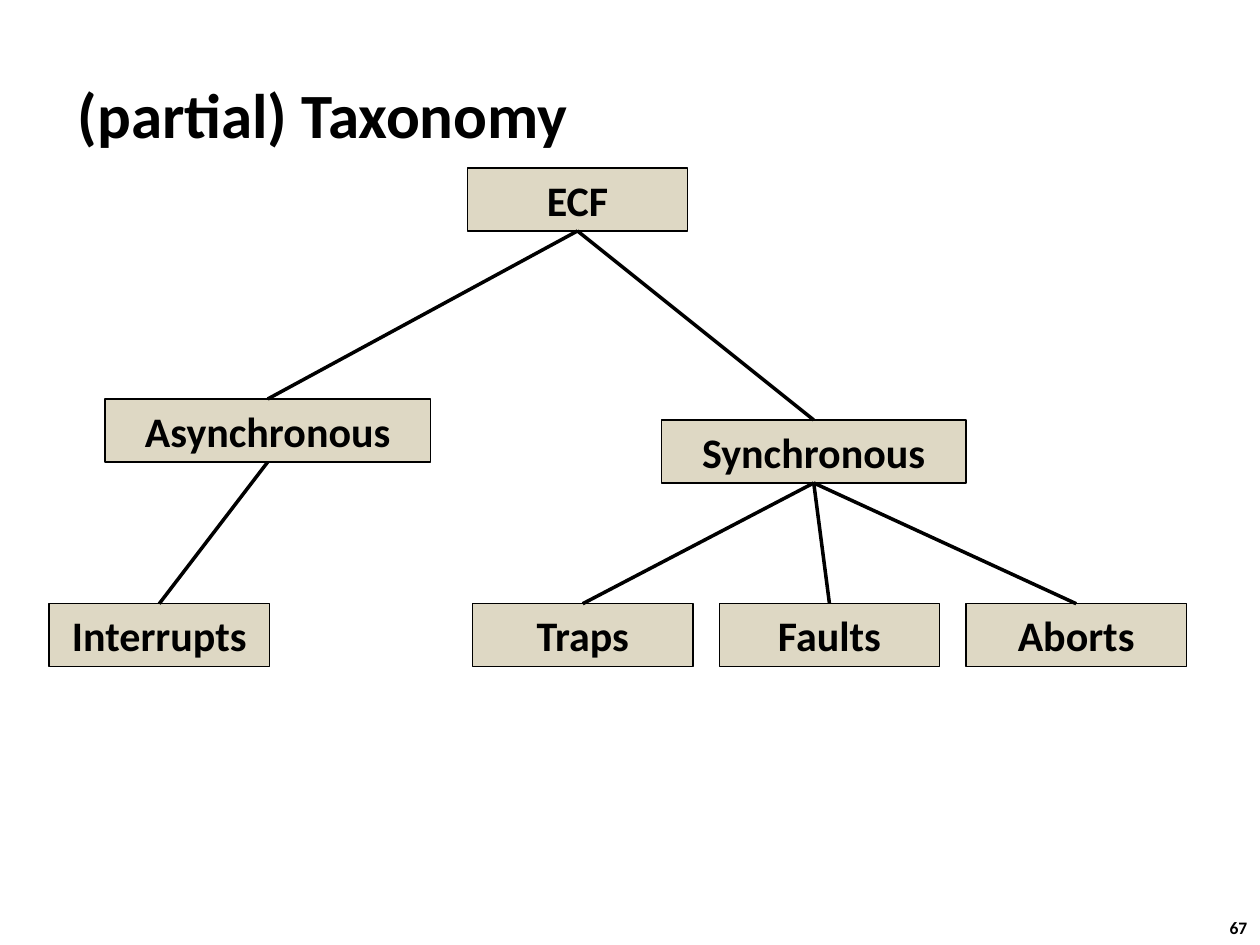
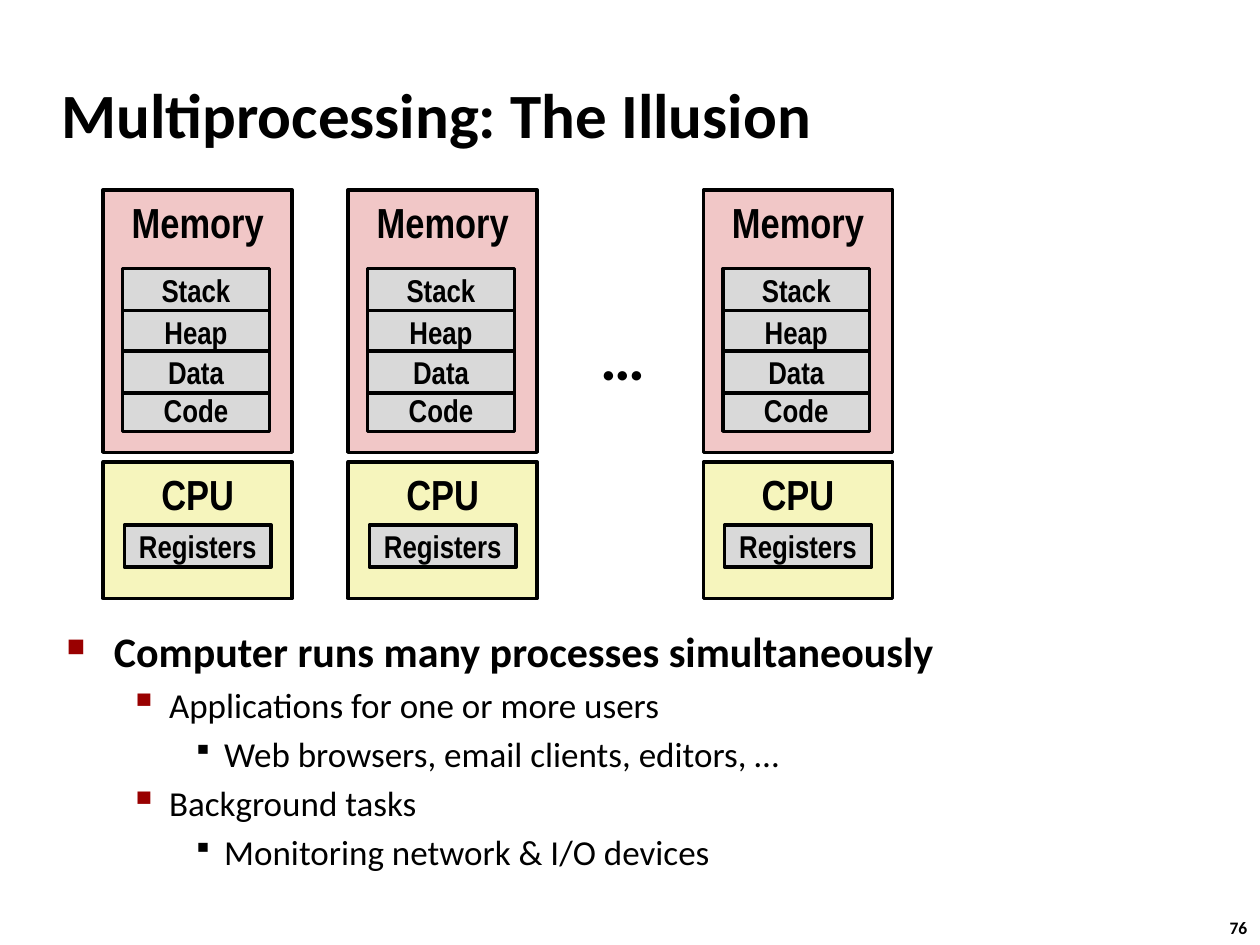
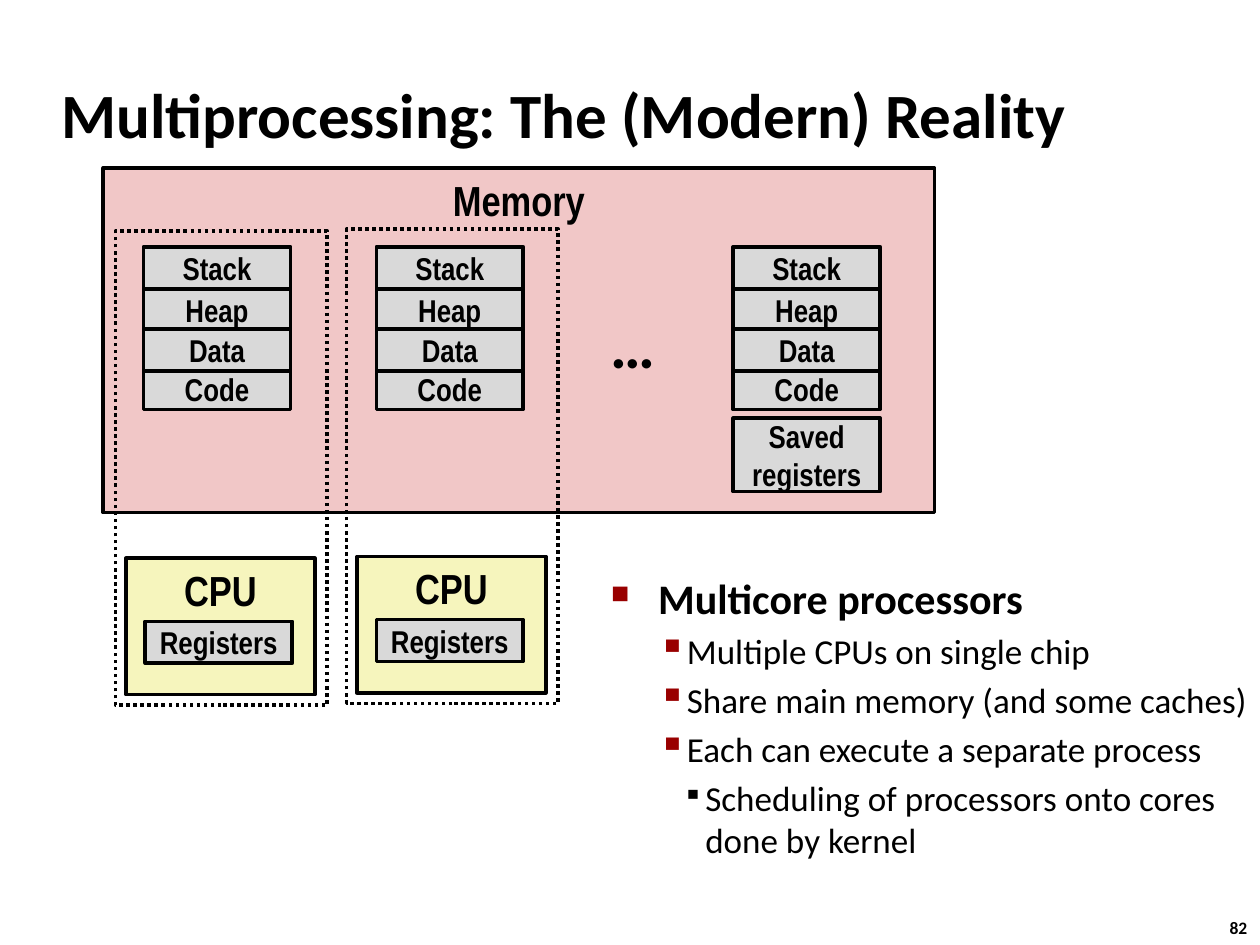
from dataclasses import dataclass

from lxml import etree
from pptx import Presentation
from pptx.dml.color import RGBColor
from pptx.enum.dml import MSO_LINE_DASH_STYLE
from pptx.enum.shapes import MSO_CONNECTOR_TYPE, MSO_SHAPE
from pptx.enum.text import MSO_ANCHOR, PP_ALIGN
from pptx.oxml.ns import qn
from pptx.shapes.base import BaseShape
from pptx.slide import Slide
from pptx.text.text import TextFrame, _Paragraph
from pptx.util import Pt

RECTANGLE = MSO_SHAPE.RECTANGLE
STRAIGHT = MSO_CONNECTOR_TYPE.STRAIGHT
DOTTED = MSO_LINE_DASH_STYLE.ROUND_DOT
TOP, MIDDLE = MSO_ANCHOR.TOP, MSO_ANCHOR.MIDDLE
CENTER = PP_ALIGN.CENTER

BLACK = "000000"
BULLET_RED = "990000"
NODE_TAN = "DED8C4"
MEMORY_PINK = "F1C7C7"
CPU_YELLOW = "F6F5BD"
CELL_GRAY = "D9D9D9"

BODY_FONT = "Calibri"
DIAGRAM_FONT = "Arial Narrow"
TITLE_INDENT = 9.36
BOTTOM_SITE, TOP_SITE = 2, 0
CELL_WIDTH, CELL_HEIGHT = 84, 24
CPU_WIDTH, CPU_HEIGHT = 108, 78


@dataclass(frozen=True)
class Area:
    left: float
    top: float
    width: float
    height: float


@dataclass(frozen=True)
class BoxStyle:
    fill: str | None
    font: str = DIAGRAM_FONT
    size: float = 24
    line_width: float = 2
    anchor: MSO_ANCHOR = TOP


@dataclass(frozen=True)
class Node:
    text: str
    area: Area
    parent: str | None = None


@dataclass(frozen=True)
class Bullet:
    character: str
    percent: int
    color: str
    size: float
    bold: bool


@dataclass(frozen=True)
class Indent:
    left: float
    hanging: float


@dataclass(frozen=True)
class Item:
    level: int
    text: str


NODE_STYLE = BoxStyle(NODE_TAN, font=BODY_FONT, line_width=0.75)
MEMORY_STYLE = BoxStyle(MEMORY_PINK)
CPU_STYLE = BoxStyle(CPU_YELLOW)
CELL_STYLE = BoxStyle(CELL_GRAY, size=18, anchor=MIDDLE)
CORE_STYLE = BoxStyle(None)

BULLETS = (
    Bullet("■", 60, BULLET_RED, 24, True),
    Bullet("▪", 110, BULLET_RED, 20, False),
    Bullet("▪", 80, BLACK, 20, False),
)
WIDE_INDENTS = (Indent(27, 27), Indent(58.5, 22.5), Indent(90, 18))
NARROW_INDENTS = (Indent(27, 27), Indent(41, 14), Indent(54, 13))

SEGMENT_OFFSETS = {"Stack": 0, "Heap": 24, "Code": 69, "Data": 47}

TAXONOMY = (
    Node("ECF", Area(267, 96, 126, 36)),
    Node("Asynchronous", Area(60, 228, 186, 36), "ECF"),
    Node("Synchronous", Area(378, 240, 174, 36), "ECF"),
    Node("Interrupts", Area(28, 345, 126, 36), "Asynchronous"),
    *(
        Node(text, Area(270 + 141 * index, 345, 126, 36), "Synchronous")
        for index, text in enumerate(("Traps", "Faults", "Aborts"))
    ),
)

ILLUSION_ITEMS = (
    Item(0, "Computer runs many processes simultaneously"),
    Item(1, "Applications for one or more users"),
    Item(2, "Web browsers, email clients, editors, …"),
    Item(1, "Background tasks"),
    Item(2, "Monitoring network & I/O devices"),
)
REALITY_ITEMS = (
    Item(0, "Multicore processors"),
    Item(1, "Multiple CPUs on single chip"),
    Item(1, "Share main memory (and some caches)"),
    Item(1, "Each can execute a separate process"),
    Item(2, "Scheduling of processors onto cores done by kernel"),
)


def rgb(color: str) -> RGBColor:
    """Turn a hex string into a colour."""
    return RGBColor.from_string(color)


def set_font(paragraph: _Paragraph, name: str, size: float, bold: bool = True) -> None:
    """Set the black font of a paragraph."""
    font = paragraph.font
    font.name, font.size, font.bold = name, Pt(size), bold
    font.color.rgb = rgb(BLACK)


def set_indent(paragraph: _Paragraph, left: float, first_line: float) -> None:
    """Set the left margin and first-line indent of a paragraph."""
    properties = paragraph._p.get_or_add_pPr()
    properties.set("marL", str(Pt(left)))
    properties.set("indent", str(Pt(first_line)))


def add_text(slide: Slide, area: Area, wrap: bool = True) -> TextFrame:
    """Add a text box and return its text frame."""
    shape = slide.shapes.add_textbox(
        Pt(area.left), Pt(area.top), Pt(area.width), Pt(area.height)
    )
    shape.text_frame.word_wrap = wrap
    return shape.text_frame


def add_label(slide: Slide, area: Area, text: str, size: float) -> None:
    """Add a one-line bold label that does not wrap."""
    paragraph = add_text(slide, area, wrap=False).paragraphs[0]
    paragraph.text = text
    set_font(paragraph, BODY_FONT, size)


def add_slide(
    presentation: Presentation,
    title: str,
    number: int,
    title_width: float = 598,
    first_line: float = -TITLE_INDENT,
) -> Slide:
    """Add a blank slide with its title and slide number."""
    slide = presentation.slides.add_slide(presentation.slide_layouts[6])
    add_label(slide, Area(695.5, 520.5, 27, 19.5), str(number), 10)
    frame = add_text(slide, Area(28, 34.5, title_width, 60))
    frame.vertical_anchor = MIDDLE
    paragraph = frame.paragraphs[0]
    paragraph.text = title
    set_indent(paragraph, TITLE_INDENT, first_line)
    set_font(paragraph, BODY_FONT, 36)
    return slide


def add_box(slide: Slide, area: Area, style: BoxStyle, text: str = "") -> BaseShape:
    """Add an outlined rectangle with centred text."""
    shape = slide.shapes.add_shape(
        RECTANGLE, Pt(area.left), Pt(area.top), Pt(area.width), Pt(area.height)
    )
    shape.shadow.inherit = False
    shape.line.color.rgb = rgb(BLACK)
    shape.line.width = Pt(style.line_width)
    if style.fill:
        shape.fill.solid()
        shape.fill.fore_color.rgb = rgb(style.fill)
    else:
        shape.fill.background()
    if text:
        frame = shape.text_frame
        frame.word_wrap = True
        frame.vertical_anchor = style.anchor
        paragraph = frame.paragraphs[0]
        paragraph.text = text
        paragraph.alignment = CENTER
        set_font(paragraph, style.font, style.size)
    return shape


def add_branch(slide: Slide, parent: BaseShape, child: BaseShape) -> None:
    """Connect the bottom of a parent to the top of its child."""
    connector = slide.shapes.add_connector(STRAIGHT, Pt(0), Pt(0), Pt(0), Pt(0))
    connector.begin_connect(parent, BOTTOM_SITE)
    connector.end_connect(child, TOP_SITE)
    connector.line.color.rgb = rgb(BLACK)
    connector.line.width = Pt(2)
    etree.SubElement(connector._element.spPr, qn("a:effectLst"))


def add_bullet(paragraph: _Paragraph, bullet: Bullet) -> None:
    """Give a paragraph a coloured, scaled bullet character."""
    properties = paragraph._p.get_or_add_pPr()
    color = etree.SubElement(properties, qn("a:buClr"))
    etree.SubElement(color, qn("a:srgbClr"), val=bullet.color)
    etree.SubElement(properties, qn("a:buSzPct"), val=str(bullet.percent * 1000))
    etree.SubElement(properties, qn("a:buChar"), char=bullet.character)


def add_bullet_list(
    slide: Slide, area: Area, items: tuple[Item, ...], indents: tuple[Indent, ...]
) -> None:
    """Add a bulleted list with one indent per level."""
    frame = add_text(slide, area)
    for index, item in enumerate(items):
        paragraph = frame.add_paragraph() if index else frame.paragraphs[0]
        bullet, indent = BULLETS[item.level], indents[item.level]
        paragraph.text = item.text
        paragraph.level = item.level
        set_indent(paragraph, indent.left, -indent.hanging)
        if index:
            paragraph.space_before = Pt(bullet.size * 0.2)
        add_bullet(paragraph, bullet)
        set_font(paragraph, BODY_FONT, bullet.size, bullet.bold)


def add_segments(slide: Slide, left: float, top: float) -> None:
    """Add the stacked memory segments of one process."""
    for text, offset in SEGMENT_OFFSETS.items():
        area = Area(left, top + offset, CELL_WIDTH, CELL_HEIGHT)
        add_box(slide, area, CELL_STYLE, text)


def add_cpu(slide: Slide, left: float, top: float, inset: float) -> None:
    """Add a CPU box holding its registers."""
    add_box(slide, Area(left, top, CPU_WIDTH, CPU_HEIGHT), CPU_STYLE, "CPU")
    registers = Area(left + inset, top + 36, CELL_WIDTH, CELL_HEIGHT)
    add_box(slide, registers, CELL_STYLE, "Registers")


def build_taxonomy(presentation: Presentation) -> None:
    """Build the tree of exceptional control flow."""
    slide = add_slide(presentation, "(partial) Taxonomy", 67, first_line=0)
    boxes = {
        node.text: add_box(slide, node.area, NODE_STYLE, node.text)
        for node in TAXONOMY
    }
    for node in TAXONOMY:
        if node.parent:
            add_branch(slide, boxes[node.parent], boxes[node.text])


def build_illusion(presentation: Presentation) -> None:
    """Build the slide where each process owns memory and a CPU."""
    slide = add_slide(presentation, "Multiprocessing: The Illusion", 76)
    add_bullet_list(slide, Area(31, 354, 622, 155.5), ILLUSION_ITEMS, WIDE_INDENTS)
    for left in (59, 199, 402):
        add_cpu(slide, left, 264, inset=12)
        add_box(slide, Area(left, 108.5, 108, 150), MEMORY_STYLE, "Memory")
        add_segments(slide, left + 11, 153.5)
    add_label(slide, Area(336, 178, 40, 51), "…", 36)


def build_reality(presentation: Presentation) -> None:
    """Build the slide where cores share one memory."""
    slide = add_slide(
        presentation, "Multiprocessing: The (Modern) Reality", 82, title_width=668
    )
    add_bullet_list(slide, Area(342, 323.5, 390, 210), REALITY_ITEMS, NARROW_INDENTS)
    add_box(slide, Area(59, 96, 475, 197), MEMORY_STYLE, "Memory")
    for left in (82, 215, 419):
        add_segments(slide, left, 141)
    add_box(slide, Area(419, 239, CELL_WIDTH, 42), CELL_STYLE, "Saved registers")
    add_label(slide, Area(342, 171, 40, 51), "…", 36)
    for left, top in ((66, 132), (198, 131)):
        add_cpu(slide, left + 6, top + 187, inset=11)
        core = add_box(slide, Area(left, top, 121, 271), CORE_STYLE)
        core.line.dash_style = DOTTED


def main() -> None:
    """Build and save the presentation."""
    presentation = Presentation()
    presentation.slide_width, presentation.slide_height = Pt(720), Pt(540)
    build_taxonomy(presentation)
    build_illusion(presentation)
    build_reality(presentation)
    presentation.save("out.pptx")


if __name__ == "__main__":
    main()
